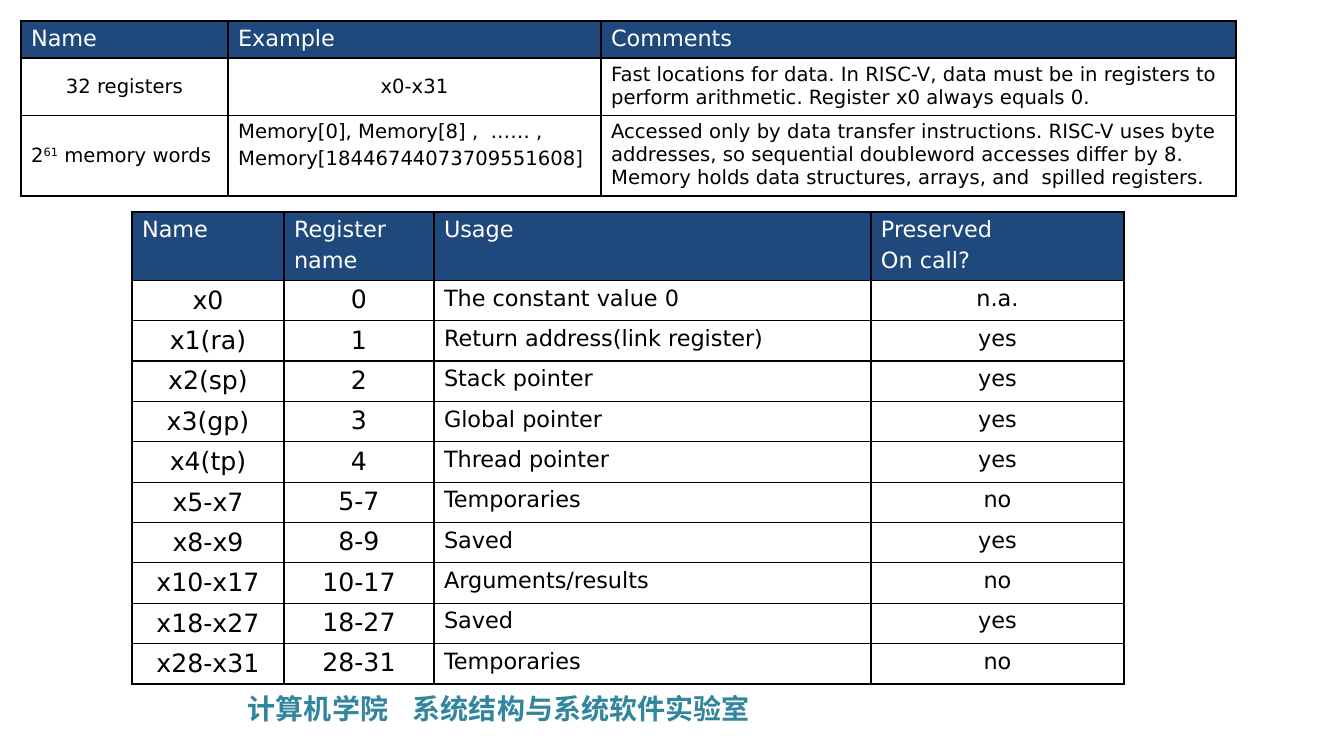
"""Slide with the RISC-V operand table and the register convention table."""
from lxml.etree import SubElement
from pptx import Presentation
from pptx.dml.color import RGBColor
from pptx.enum.text import MSO_ANCHOR, PP_ALIGN
from pptx.oxml.ns import qn
from pptx.util import Emu, Pt

PX = 914400 / 100.8
NAVY = RGBColor(0x1F, 0x49, 0x7D)
TEAL = RGBColor(0x31, 0x85, 0x9C)
WHITE = RGBColor(0xFF, 0xFF, 0xFF)
BLACK = RGBColor(0x00, 0x00, 0x00)
THICK, THIN = Pt(2.25), Pt(1)


def px(*lengths):
    return [Emu(round(length * PX)) for length in lengths]


def fill_cell(cell, text, style, borders):
    cell.vertical_anchor = style["anchor"]
    frame = cell.text_frame
    for index, line in enumerate(text.split("\n")):
        paragraph = frame.add_paragraph() if index else frame.paragraphs[0]
        paragraph.alignment = style["align"]
        spacing = SubElement(paragraph._p.get_or_add_pPr(), qn("a:spcBef"))
        SubElement(spacing, qn("a:spcPct"), val="20000")
        for part, piece in enumerate(line.split("^")):
            run = paragraph.add_run()
            run.text = piece
            for name, value in style["font"].items():
                setattr(run.font, name, value)
            run.font.color.rgb = style["color"]
            if part % 2:
                run.font._element.set("baseline", "30000")
    properties = cell._tc.get_or_add_tcPr()
    for side, width in borders.items():
        border = SubElement(properties, qn(f"a:ln{side}"), w=str(width))
        paint = SubElement(border, qn("a:solidFill"))
        SubElement(paint, qn("a:srgbClr"), val=str(BLACK))
    if style["fill"] is None:
        cell.fill.background()
    else:
        cell.fill.solid()
        cell.fill.fore_color.rgb = style["fill"]


left_16, centre_18, left_14 = [
    {"font": {"name": "DejaVu Sans", "size": Pt(size), "bold": False},
     "align": align, "anchor": MSO_ANCHOR.TOP, "color": BLACK, "fill": None}
    for size, align in [(16, PP_ALIGN.LEFT), (18, PP_ALIGN.CENTER), (14, PP_ALIGN.LEFT)]
]
heading = {**left_16, "color": WHITE, "fill": NAVY}
centre_16 = {**left_16, "align": PP_ALIGN.CENTER}
middle_18 = {**centre_18, "anchor": MSO_ANCHOR.MIDDLE}
middle_14 = {**left_14, "anchor": MSO_ANCHOR.MIDDLE}
middle_centre_14 = {**middle_14, "align": PP_ALIGN.CENTER}

register_rows = [
    ("Name", "Register\nname", "Usage", "Preserved\nOn call?"),
    ("x0", "0", "The constant value 0", "n.a."),
    ("x1(ra)", "1", "Return address(link register)", "yes"),
    ("x2(sp)", "2", "Stack pointer", "yes"),
    ("x3(gp)", "3", "Global pointer", "yes"),
    ("x4(tp)", "4", "Thread pointer", "yes"),
    ("x5-x7", "5-7", "Temporaries", "no"),
    ("x8-x9", "8-9", "Saved", "yes"),
    ("x10-x17", "10-17", "Arguments/results", "no"),
    ("x18-x27", "18-27", "Saved", "yes"),
    ("x28-x31", "28-31", "Temporaries", "no"),
]
operand_rows = [
    ("Name", "Example", "Comments"),
    ("32 registers", "x0-x31",
     "Fast locations for data. In RISC-V, data must be in registers to "
     "perform arithmetic. Register x0 always equals 0."),
    ("2^61^ memory words",
     "Memory[0], Memory[8] ,  …… ,\nMemory[18446744073709551608]",
     "Accessed only by data transfer instructions. RISC-V uses byte addresses, "
     "so sequential doubleword accesses differ by 8. Memory holds data "
     "structures, arrays, and  spilled registers."),
]
tables = [
    {"box": (132, 212, 992, 475), "widths": (152, 150, 437, 253),
     "heights": [65] + [37] * 10, "rows": register_rows,
     "styles": [[heading] * 4] + [[middle_18, centre_18, left_16, centre_16]] * 10},
    {"box": (21, 21, 1215, 174), "widths": (207, 373, 635),
     "heights": [34, 56, 75], "rows": operand_rows,
     "styles": [[heading] * 3,
                [middle_centre_14, middle_centre_14, left_14],
                [middle_14, left_14, left_14]]},
]

presentation = Presentation()
presentation.slide_width, presentation.slide_height = px(1344, 756)
slide = presentation.slides.add_slide(presentation.slide_layouts[6])

affiliation = slide.shapes.add_textbox(*px(238, 687, 974, 44)).text_frame
affiliation.word_wrap = True
affiliation_line = affiliation.paragraphs[0]
tab_stops = SubElement(affiliation_line._p.get_or_add_pPr(), qn("a:tabLst"))
SubElement(tab_stops, qn("a:tab"), pos=str(px(165)[0]), algn="l")
affiliation_run = affiliation_line.add_run()
affiliation_run.text = "计算机学院\t系统结构与系统软件实验室"
for name, value in {"name": "Noto Sans CJK SC", "size": Pt(20), "bold": True}.items():
    setattr(affiliation_run.font, name, value)
affiliation_run.font.color.rgb = TEAL
SubElement(affiliation_run.font._element, qn("a:ea"), typeface="Noto Sans CJK SC")

for content in tables:
    rows, widths = content["rows"], content["widths"]
    graphic = slide.shapes.add_table(len(rows), len(widths), *px(*content["box"]))
    grid = graphic.table
    grid.first_row = grid.horz_banding = False
    for column, width in zip(grid.columns, px(*widths)):
        column.width = width
    for row, height in zip(grid.rows, px(*content["heights"])):
        row.height = height
    graphic.height = px(content["box"][3])[0]
    last_row, last_column = len(rows) - 1, len(widths) - 1
    for r, texts in enumerate(rows):
        for c, text in enumerate(texts):
            borders = {"L": THIN if c else THICK,
                       "R": THICK if c == last_column else THIN,
                       "T": THIN if r else THICK,
                       "B": THICK if r == last_row else THIN}
            fill_cell(grid.cell(r, c), text, content["styles"][r][c], borders)

presentation.save("out.pptx")
